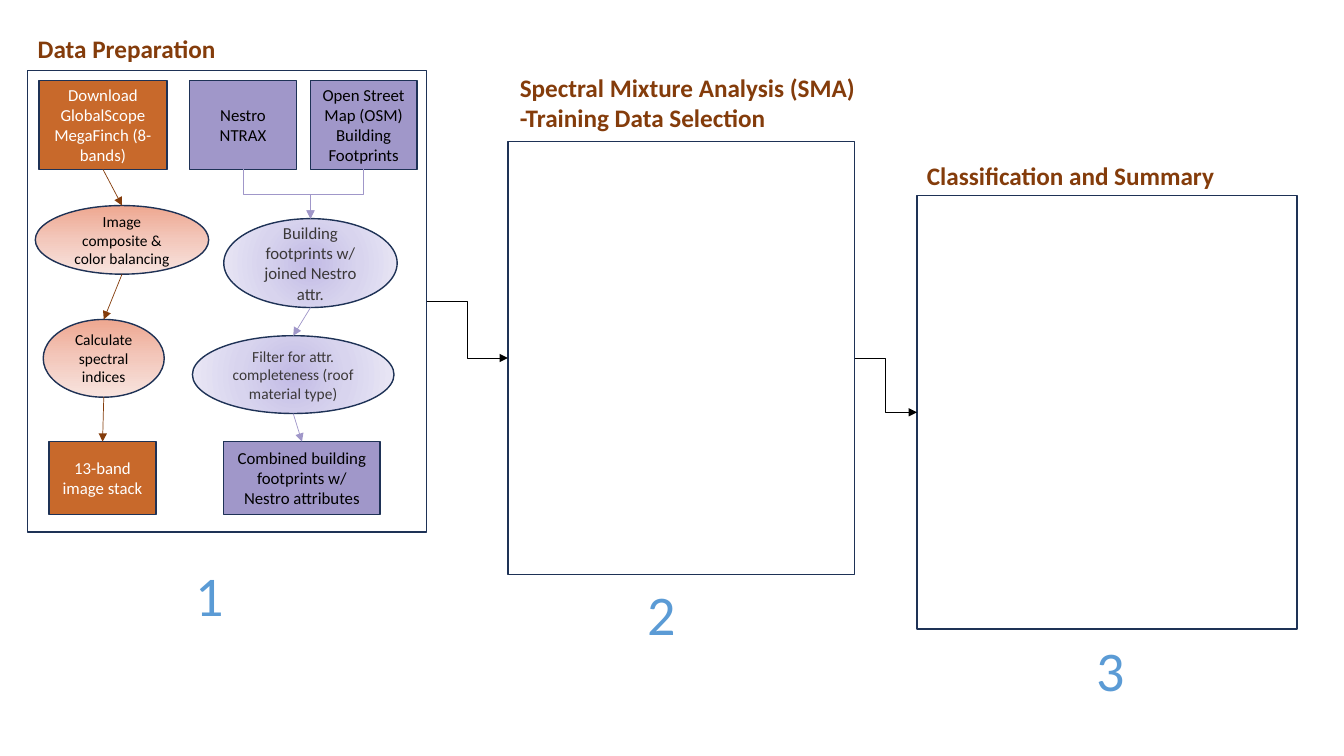
from pptx import Presentation
from pptx.dml.color import RGBColor
from pptx.enum.shapes import MSO_CONNECTOR as Link, MSO_SHAPE as Preset
from pptx.enum.text import MSO_ANCHOR as Anchor, PP_ALIGN as Align
from pptx.oxml import parse_xml
from pptx.oxml.ns import nsdecls, qn
from pptx.util import Cm, Pt

NAVY = RGBColor(0x1E, 0x32, 0x56)
ORANGE = RGBColor(0xC8, 0x69, 0x2B)
BROWN = RGBColor(0x84, 0x3C, 0x0B)
PURPLE = RGBColor(0xA0, 0x97, 0xC9)
BLUE = RGBColor(0x5B, 0x9B, 0xD5)
CHARCOAL = RGBColor(0x3B, 0x38, 0x38)
BLACK = RGBColor(0, 0, 0)
WHITE = RGBColor(0xFF, 0xFF, 0xFF)

SALMON_FADE = (("EEA790", "F3C8BC", "F8E4DF"), '<a:lin ang="5400000" scaled="0"/>')
LILAC_GLOW = (
    ("C2BBE5", "D8D4EE", "EBE9F6"),
    '<a:path path="circle"><a:fillToRect l="50000" t="50000" r="50000" b="50000"/></a:path>',
)

# style: preset, fill, text colour, text size
STYLES = {
    "image data": (Preset.RECTANGLE, ORANGE, WHITE, 12),
    "image step": (Preset.OVAL, SALMON_FADE, BLACK, 11),
    "building data": (Preset.RECTANGLE, PURPLE, BLACK, 12),
    "building join": (Preset.OVAL, LILAC_GLOW, CHARCOAL, 12),
    "building step": (Preset.OVAL, LILAC_GLOW, CHARCOAL, 11),
}

# stage: box, title lines, title box, number position (cm)
STAGES = [
    ((0.7, 1.78, 10.05, 11.63), ["Data Preparation"], (0.7, 0.71, 5.03, 1.02), (4.67, 14)),
    ((12.8, 3.56, 8.74, 10.92),
     ["Spectral Mixture Analysis (SMA)", "-Training Data Selection"],
     (12.85, 1.7, 9.02, 1.8), (16.05, 14.48)),
    ((23.11, 4.93, 9.58, 10.92), ["Classification and Summary"],
     (23.11, 3.91, 7.82, 1.02), (27.38, 15.88)),
]
NUMBER_SIZE = (1.24, 1.96)

# step: style, wording, box (cm)
STEPS = {
    "download": ("image data", "Download GlobalScope MegaFinch (8-bands)", (0.98, 2.03, 3.23, 2.24)),
    "composite": ("image step", "Image composite & color balancing", (0.89, 5.18, 4.37, 1.73)),
    "indices": ("image step", "Calculate spectral indices", (1.09, 8.05, 3.05, 1.96)),
    "stack": ("image data", "13-band image stack", (1.24, 11.13, 2.69, 1.83)),
    "records": ("building data", "Nestro NTRAX", (4.78, 2.03, 2.69, 2.24)),
    "map": ("building data", "Open Street Map (OSM) Building Footprints", (7.82, 2.03, 2.69, 2.24)),
    "joined": ("building join", "Building footprints w/ joined Nestro attr.", (5.64, 5.51, 4.37, 2.24)),
    "filter": ("building step", "Filter for attr. completeness (roof material type)",
               (4.85, 8.46, 5.08, 1.96)),
    "combined": ("building data", "Combined building footprints w/ Nestro attributes",
                 (5.64, 11.13, 3.94, 1.83)),
}
FLOWS = [
    ("download", "composite", BROWN), ("composite", "indices", BROWN), ("indices", "stack", BROWN),
    ("joined", "filter", PURPLE), ("filter", "combined", PURPLE),
]
MERGES = [("records", "joined"), ("map", "joined")]


def set_all(target, **values):
    for key, value in values.items():
        setattr(target, key, value)


def write(shape, lines, align, size, color, bold=False):
    frame = shape.text_frame
    frame.text = "\n".join(lines)
    for paragraph in frame.paragraphs:
        paragraph.alignment = align
        font = paragraph.runs[0].font
        set_all(font, name="Calibri", size=Pt(size), bold=bold)
        font.color.rgb = color


def fill_gradient(shape, colors, direction):
    """Fill with evenly spaced stops; direction is the lin or path element."""
    stops = "".join(
        f'<a:gs pos="{100000 * i // (len(colors) - 1)}"><a:srgbClr val="{color}"/></a:gs>'
        for i, color in enumerate(colors))
    shape.fill.gradient()
    properties = shape._element.spPr
    properties.replace(properties.find(qn("a:gradFill")), parse_xml(
        f'<a:gradFill {nsdecls("a")} rotWithShape="1"><a:gsLst>{stops}</a:gsLst>{direction}</a:gradFill>'))


def add_outlined(preset, box, fill=None):
    shape = shapes.add_shape(preset, *map(Cm, box))
    shape.shadow.inherit = False
    if fill is None:
        shape.fill.background()
    elif isinstance(fill, RGBColor):
        shape.fill.solid()
        shape.fill.fore_color.rgb = fill
    else:
        fill_gradient(shape, *fill)
    shape.line.color.rgb = NAVY
    shape.line.width = Pt(1)
    return shape


def add_label(box, lines, align, size, color, bold=False):
    label = shapes.add_textbox(*map(Cm, box))
    label.text_frame.word_wrap = False
    write(label, lines, align, size, color, bold)


def add_arrow(kind, start, end, color):
    arrow = shapes.add_connector(kind, *start, *end)
    arrow.line.color.rgb = color
    arrow.line.width = Pt(0.5)
    arrow.line._get_or_add_ln().append(parse_xml(f'<a:tailEnd {nsdecls("a")} type="triangle"/>'))
    arrow._element.spPr.append(parse_xml(f'<a:effectLst {nsdecls("a")}/>'))
    return arrow


def top(shape):
    return shape.left + shape.width // 2, shape.top


def bottom(shape):
    return shape.left + shape.width // 2, shape.top + shape.height


def left(shape):
    return shape.left, shape.top + shape.height // 2


def right(shape):
    return shape.left + shape.width, shape.top + shape.height // 2


def add_drop_elbow(start, end, color):
    """Elbow that leaves and arrives vertically: a quarter-turned elbow connector."""
    arrow = add_arrow(Link.ELBOW, start, end, color)
    drop, shift = end[1] - start[1], end[0] - start[0]
    set_all(arrow, left=(start[0] + end[0] - drop) // 2,
            top=(start[1] + end[1] - abs(shift)) // 2, width=drop, height=abs(shift))
    turn = {"rot": "16200000", "flipH": "1"} if shift > 0 else {"rot": "5400000", "flipH": "0"}
    for key, value in turn.items():
        arrow._element.spPr.xfrm.set(key, value)


deck = Presentation()
set_all(deck, slide_width=Cm(33.87), slide_height=Cm(19.05))
shapes = deck.slides.add_slide(deck.slide_layouts[6]).shapes

panels = []
for number, (box, title, title_box, number_at) in enumerate(STAGES, 1):
    panels.append(add_outlined(Preset.RECTANGLE, box))
    add_label(title_box, title, Align.LEFT, 18, BROWN, bold=True)
    add_label(number_at + NUMBER_SIZE, [str(number)], Align.CENTER, 40, BLUE)

steps = {}
for key, (style, wording, box) in STEPS.items():
    preset, fill, color, size = STYLES[style]
    steps[key] = add_outlined(preset, box, fill)
    set_all(steps[key].text_frame, word_wrap=True, vertical_anchor=Anchor.MIDDLE)
    write(steps[key], [wording], Align.CENTER, size, color)

for source, target, color in FLOWS:
    add_arrow(Link.STRAIGHT, bottom(steps[source]), top(steps[target]), color)
for source, target in MERGES:
    add_drop_elbow(bottom(steps[source]), top(steps[target]), PURPLE)
for panel, following in zip(panels, panels[1:]):
    add_arrow(Link.ELBOW, right(panel), left(following), BLACK)

deck.save("out.pptx")
